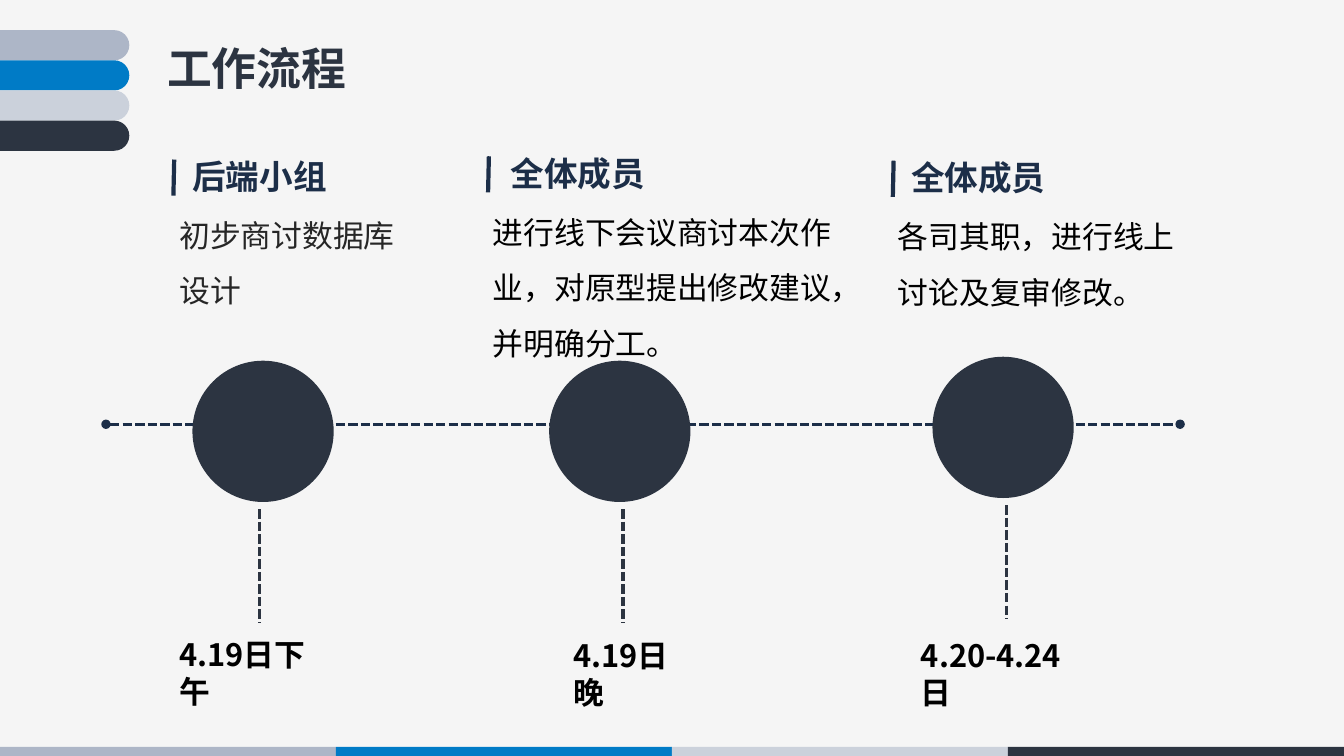
from pptx import Presentation
from pptx.dml.color import RGBColor
from pptx.enum.dml import MSO_LINE_DASH_STYLE as Dash
from pptx.enum.shapes import MSO_CONNECTOR as Connector, MSO_SHAPE as Shape
from pptx.oxml.ns import qn
from pptx.util import Cm, Pt
from lxml.etree import SubElement

BACKGROUND = RGBColor(0xF5, 0xF5, 0xF5)
GREY = RGBColor(0xAD, 0xB6, 0xC7)
BLUE = RGBColor(0x00, 0x7B, 0xC6)
PALE = RGBColor(0xCB, 0xD1, 0xDB)
DARK = RGBColor(0x2C, 0x34, 0x41)
NAVY = RGBColor(0x1C, 0x2E, 0x48)
CHARCOAL = RGBColor(0x26, 0x26, 0x26)
BLACK = RGBColor(0x00, 0x00, 0x00)
PALETTE = (GREY, BLUE, PALE, DARK)

FONT = "Noto Sans CJK SC"
WIDTH, HEIGHT = 33.87, 19.05
DIAMETER = 3.56

TITLE = {"size": Pt(32), "bold": True, "name": FONT}
HEADING = {"size": Pt(24), "bold": True, "name": FONT}
BODY = {"size": Pt(22), "bold": False, "name": FONT}
DATE = {"size": Pt(22), "bold": True, "name": FONT}

STEPS = [
    {"heading": ("后端小组", 4.6, 3.81), "marker": 4.39,
     "body": ("初步商讨数据库设计", 4.27, 6.68, 3.07, CHARCOAL, "Arial"),
     "circle": (4.85, 9.09), "stem": 6.55,
     "date": ("4.19日下午", 4.27, 15.9, 4.42)},
    {"heading": ("全体成员", 12.62, 3.73), "marker": 12.32,
     "body": ("进行线下会议商讨本次作业，对原型提出修改建议，并明确分工。",
              12.17, 9.22, 4.5, BLACK, FONT),
     "circle": (13.84, 9.09), "stem": 15.7,
     "date": ("4.19日晚", 14.2, 15.93, 3.63)},
    {"heading": ("全体成员", 22.71, 3.84), "marker": 22.52,
     "body": ("各司其职，进行线上讨论及复审修改。", 22.38, 7.8, 3.07, BLACK, FONT),
     "circle": (23.5, 8.99), "stem": 25.37,
     "date": ("4.20-4.24日", 22.96, 15.93, 4.72)},
]


def add_block(slide, kind, left, top, width, height, color):
    shape = slide.shapes.add_shape(kind, Cm(left), Cm(top), Cm(width), Cm(height))
    shape.shadow.inherit = False
    shape.fill.solid()
    shape.fill.fore_color.rgb = color
    shape.line.fill.background()
    return shape


def add_line(slide, start, end, color, weight, dash=None, ends=None):
    line = slide.shapes.add_connector(
        Connector.STRAIGHT, *(Cm(value) for value in (*start, *end)))
    line.line.color.rgb = color
    line.line.width = Pt(weight)
    if dash:
        line.line.dash_style = dash
    if ends:
        outline = line.line._get_or_add_ln()
        for tag in ("a:headEnd", "a:tailEnd"):
            SubElement(outline, qn(tag), type=ends)
    SubElement(line._element.spPr, qn("a:effectLst"))


def add_text(slide, text, left, top, width, height, color, style, spacing=None):
    box = slide.shapes.add_textbox(Cm(left), Cm(top), Cm(width), Cm(height))
    box.text_frame.word_wrap = True
    paragraph = box.text_frame.paragraphs[0]
    if spacing:
        paragraph.line_spacing = spacing
    run = paragraph.add_run()
    run.text = text
    for name, value in style.items():
        setattr(run.font, name, value)
    run.font.color.rgb = color
    SubElement(run.font._element, qn("a:ea"), typeface=FONT)


def add_decoration(slide):
    bar_width, stripe_height = WIDTH / 4, 0.76
    for index, color in enumerate(PALETTE):
        add_block(slide, Shape.RECTANGLE, index * bar_width, 18.82, bar_width, 0.23, color)
        stripe = add_block(slide, Shape.ROUNDED_RECTANGLE, -1.57,
                           (index + 1) * stripe_height, 4.83, stripe_height, color)
        stripe.adjustments[0] = 0.5


def add_step(slide, step):
    left, top = step["circle"]
    add_block(slide, Shape.OVAL, left, top, DIAMETER, DIAMETER, DARK)
    stem, stem_top = step["stem"], top + 3.74
    add_line(slide, (stem, stem_top), (stem, stem_top + 2.87), DARK, 2.25, Dash.SQUARE_DOT)

    heading, left, top = step["heading"]
    body, body_left, width, height, color, font = step["body"]
    add_text(slide, body, body_left, top + 1.06, width, height, color,
             {**BODY, "name": font}, 1.5)
    add_text(slide, heading, left, top, 5.38, 1.27, NAVY, HEADING)
    marker, marker_top = step["marker"], top + 0.21
    add_line(slide, (marker - 0.02, marker_top), (marker - 0.02, marker_top + 0.47), NAVY, 0.75)
    add_line(slide, (marker, marker_top), (marker - 0.02, marker_top + 0.91), NAVY, 3)

    date, left, top, width = step["date"]
    add_text(slide, date, left, top, width, 1.19, BLACK, DATE)


def main():
    presentation = Presentation()
    presentation.slide_width, presentation.slide_height = Cm(WIDTH), Cm(HEIGHT)
    slide = presentation.slides.add_slide(presentation.slide_layouts[6])
    slide.background.fill.solid()
    slide.background.fill.fore_color.rgb = BACKGROUND

    add_decoration(slide)
    add_line(slide, (2.67, 10.69), (29.74, 10.69), NAVY, 2.25, Dash.SQUARE_DOT, "oval")
    for step in STEPS:
        add_step(slide, step)
    add_text(slide, "工作流程", 3.96, 0.89, 5.5, 1.63, DARK, TITLE)
    presentation.save("out.pptx")


if __name__ == "__main__":
    main()
